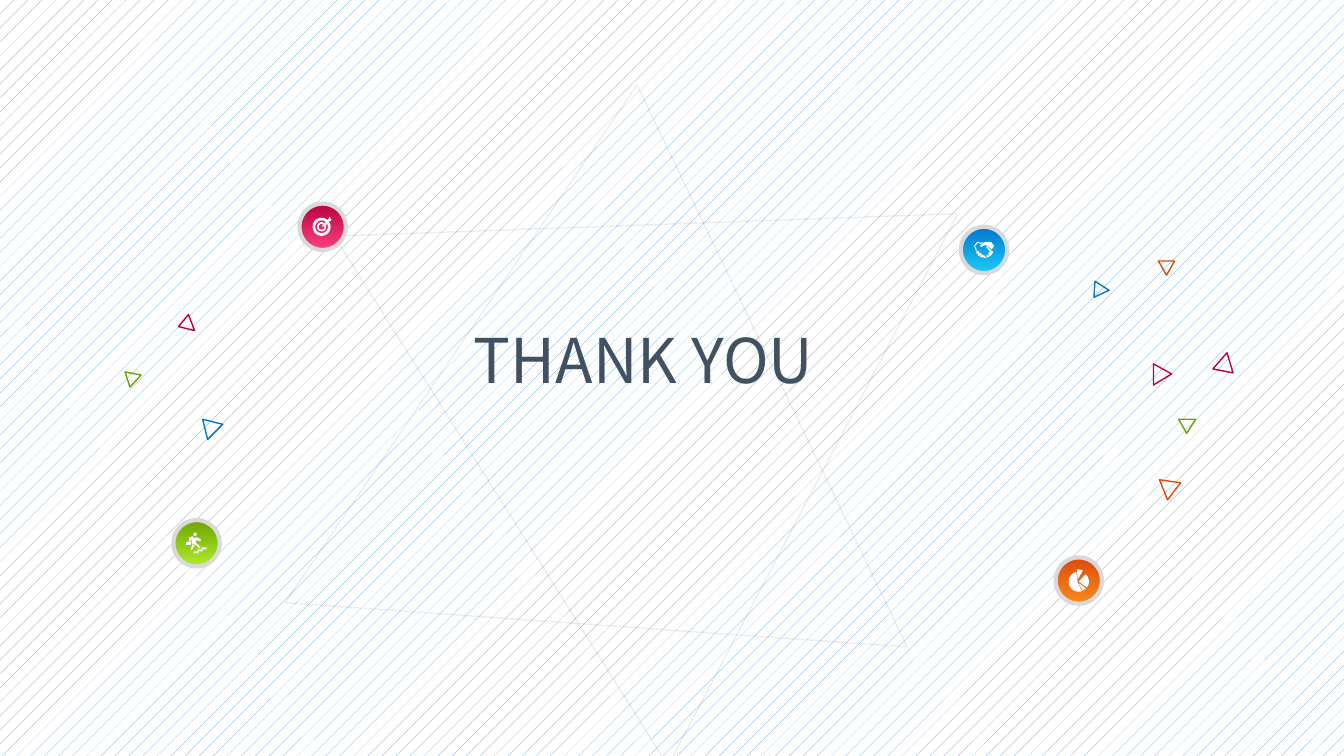
from math import cos, pi, sin

from lxml.etree import SubElement
from pptx import Presentation
from pptx.dml.color import RGBColor
from pptx.enum.dml import MSO_PATTERN
from pptx.enum.shapes import MSO_SHAPE
from pptx.enum.text import MSO_ANCHOR, MSO_AUTO_SIZE, PP_ALIGN
from pptx.oxml.ns import qn
from pptx.util import Inches, Pt

COLS, ROWS = 1333, 750
CELL = Inches(0.01)
FONT = "Noto Sans CJK SC"
HUES = {
    "ink": "415162", "white": "FFFFFF", "rim": "D9D9D9", "dots": "5B9BD5",
    "orange": "DC4A0C", "amber": "FA891B",
    "green": "6DA400", "lime": "B0EB2F",
    "blue": "0076CF", "sky": "1CCCF8",
    "red": "BA013F", "pink": "FB4182",
}


def hue(name):
    """Return the named colour."""
    return RGBColor.from_string(HUES[name])


def span(*cells):
    """Turn grid cells into lengths."""
    return [round(n * CELL) for n in cells]


def ring(x, y, r, turn=(0, 1), count=20):
    """Return points along a circle, or along the given share of it."""
    start, end = turn
    steps = [2 * pi * (start + (end - start) * i / count) for i in range(count + 1)]
    return [(x + r * cos(a), y + r * sin(a)) for a in steps]


def stroke(shape, name, width):
    """Give the shape a plain outline and no shadow."""
    shape.shadow.inherit = False
    shape.line.color.rgb = hue(name)
    shape.line.width = Pt(width)


def trace(slide, loops, home=(0, 0)):
    """Add one freeform made of closed loops around a home cell."""
    paths = [[span(home[0] + x, home[1] + y) for x, y in loop] for loop in loops]
    pen = slide.shapes.build_freeform(*paths[0][0], scale=1.0)
    for path in paths:
        pen.move_to(*path[0])
        pen.add_line_segments(path[1:], close=True)
    shape = pen.convert_to_shape()
    shape.shadow.inherit = False
    return shape


def frame(slide, box, angle):
    """Add a large faint triangle."""
    shape = slide.shapes.add_shape(MSO_SHAPE.ISOSCELES_TRIANGLE, *span(*box))
    shape.rotation = angle
    shape.fill.background()
    stroke(shape, "ink", 1)
    tint = shape.line.fill.fore_color
    tint.rgb = hue("ink")
    node = shape.element.find(".//" + qn("a:ln")).find(".//" + qn("a:srgbClr"))
    SubElement(node, qn("a:alpha")).set("val", "10000")


def spark(slide, name, points):
    """Add a small outlined triangle."""
    shape = trace(slide, [points])
    shape.fill.background()
    stroke(shape, name, 1)


def badge(slide, home, hues, parts):
    """Add a shaded disc with a white symbol."""
    x, y = home
    disc = slide.shapes.add_shape(MSO_SHAPE.OVAL, *span(x - 23, y - 23, 46, 46))
    disc.fill.gradient()
    disc.fill.gradient_angle = 270
    for stop, name in zip(disc.fill.gradient_stops, hues):
        stop.color.rgb = hue(name)
    stroke(disc, "rim", 3)
    for loops in parts:
        mark = trace(slide, loops, home)
        mark.fill.solid()
        mark.fill.fore_color.rgb = hue("white")
        mark.line.fill.background()


def title(slide, text, box):
    """Fill and place the title on top."""
    shape = slide.shapes.title
    shape.left, shape.top, shape.width, shape.height = span(*box)
    body = shape.text_frame
    body.text = text
    body.word_wrap = True
    body.auto_size = MSO_AUTO_SIZE.SHAPE_TO_FIT_TEXT
    body.vertical_anchor = MSO_ANCHOR.MIDDLE
    body.paragraphs[0].alignment = PP_ALIGN.LEFT
    font = body.paragraphs[0].runs[0].font
    font.name, font.size = FONT, Pt(44)
    font.color.rgb = hue("ink")
    shape.element.getparent().append(shape.element)


PIE = [
    [ring(0, 1, 10, (0.2, 0.71)) + [(-1, 2)]],
    [ring(0, 1, 10, (-0.13, 0.1)) + [(0, 1)]],
    [[(-2, -11), (1, -11), (4, -10), (-1, -1)]],
    [[(0, 3), (1, 3), (7, 8), (4, 10)]],
]
RUNNER = [
    [ring(-1.5, -9, 1.7)],
    [[(-1, -6), (0, -6), (4, -4), (4, -2), (0, -3), (-1, -1), (4, 4), (2, 5),
      (0, 2), (-5, 0), (-5, -5), (-6, -2), (-8, -2), (-7, -6), (-4, -7), (-2, -5)]],
    [[(-10, -1), (-6, -1), (-6, 2), (-10, 2)]],
    [[(-6, 6), (-4, 1), (-2, 2), (-5, 7)]],
    [[(-3, 8), (1, 8), (1, 6), (5, 6), (5, 4), (10, 4), (10, 6), (6, 6),
      (6, 8), (2, 8), (2, 10), (-3, 10)]],
]
HANDS = [
    [[(3, -4), (7, 0), (9, 2), (8, 4), (6, 6), (4, 7), (1, 8), (3, 6), (2, 5),
      (5, 6), (3, 4), (6, 5), (4, 2), (7, 3), (2, -3)]],
    [[(-8, 1), (-9, -2), (-10, -4), (-7, -8), (-5, -8), (-3, -7), (-1, -8),
      (-3, -6), (-6, -7), (-9, -4), (-8, -2), (-7, 0)]],
    [[(-7, 1), (-5, 1), (-5, 3), (-3, 3), (-3, 4), (-1, 5), (1, 6), (1, 8),
      (-2, 7), (-4, 7), (-4, 5), (-6, 6), (-6, 4), (-8, 3)]],
    [[(4, -4), (7, -1), (8, -1), (10, -4), (7, -8), (5, -8), (2, -8), (-1, -7),
      (-4, -4), (-3, -3), (0, -4), (1, -5)]],
]
TARGET = [
    [ring(-1, 0, 9), ring(-1, 0, 6.3)],
    [ring(-1, 0, 4.6), ring(-1, 0, 2.8)],
    [[(-1, 0), (0, -2), (5, -6), (6, -8), (7, -10), (8, -8), (9, -7), (8, -6),
      (6, -5), (3, -1)]],
]
BADGES = [
    ((1070, 576), ("orange", "amber"), PIE),
    ((195, 539), ("green", "lime"), RUNNER),
    ((976, 248), ("blue", "sky"), HANDS),
    ((320, 225), ("red", "pink"), TARGET),
]
SPARKS = [
    ("orange", [(1149, 259), (1165, 259), (1157, 273)]),
    ("blue", [(1086, 279), (1100, 288), (1085, 295)]),
    ("red", [(1217, 350), (1223, 370), (1203, 366)]),
    ("red", [(187, 312), (177, 324), (193, 328)]),
    ("green", [(124, 369), (129, 384), (140, 372)]),
    ("blue", [(201, 416), (206, 436), (221, 421)]),
    ("green", [(1169, 416), (1186, 416), (1177, 430)]),
    ("orange", [(1171, 479), (1158, 496), (1150, 476)]),
    ("red", [(1162, 371), (1144, 382), (1144, 361)]),
]


def main():
    """Build the closing slide."""
    deck = Presentation()
    deck.slide_width, deck.slide_height = span(COLS, ROWS)
    slide = deck.slides.add_slide(deck.slide_layouts[5])
    back = slide.background.fill
    back.patterned()
    back.pattern = MSO_PATTERN.PERCENT_5
    back.fore_color.rgb = hue("dots")
    back.back_color.rgb = hue("white")
    frame(slide, (368, 224, 621, 535), 124.2)
    frame(slide, (413, 87, 621, 535), 57.8)
    for item in BADGES:
        badge(slide, *item)
    for item in SPARKS:
        spark(slide, *item)
    title(slide, "THANK YOU", (460, 314, 413, 84))
    deck.save("out.pptx")


if __name__ == "__main__":
    main()
